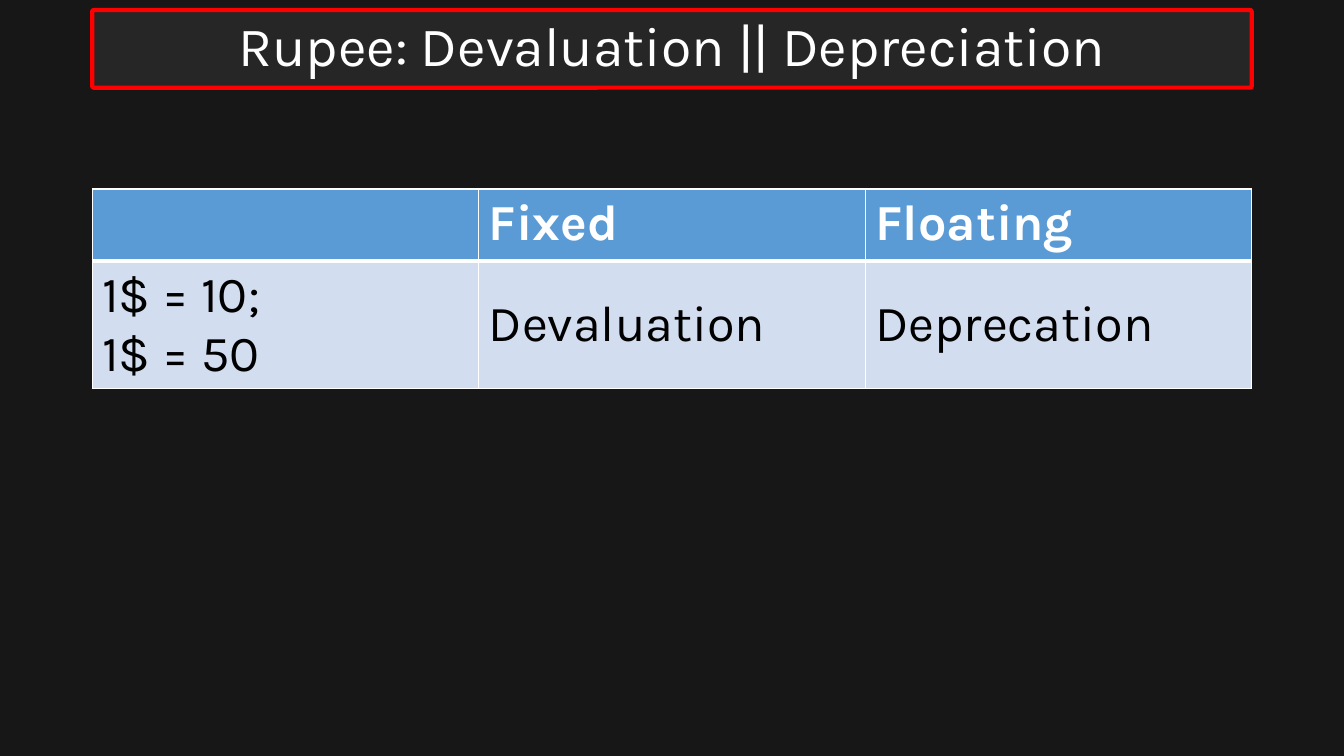
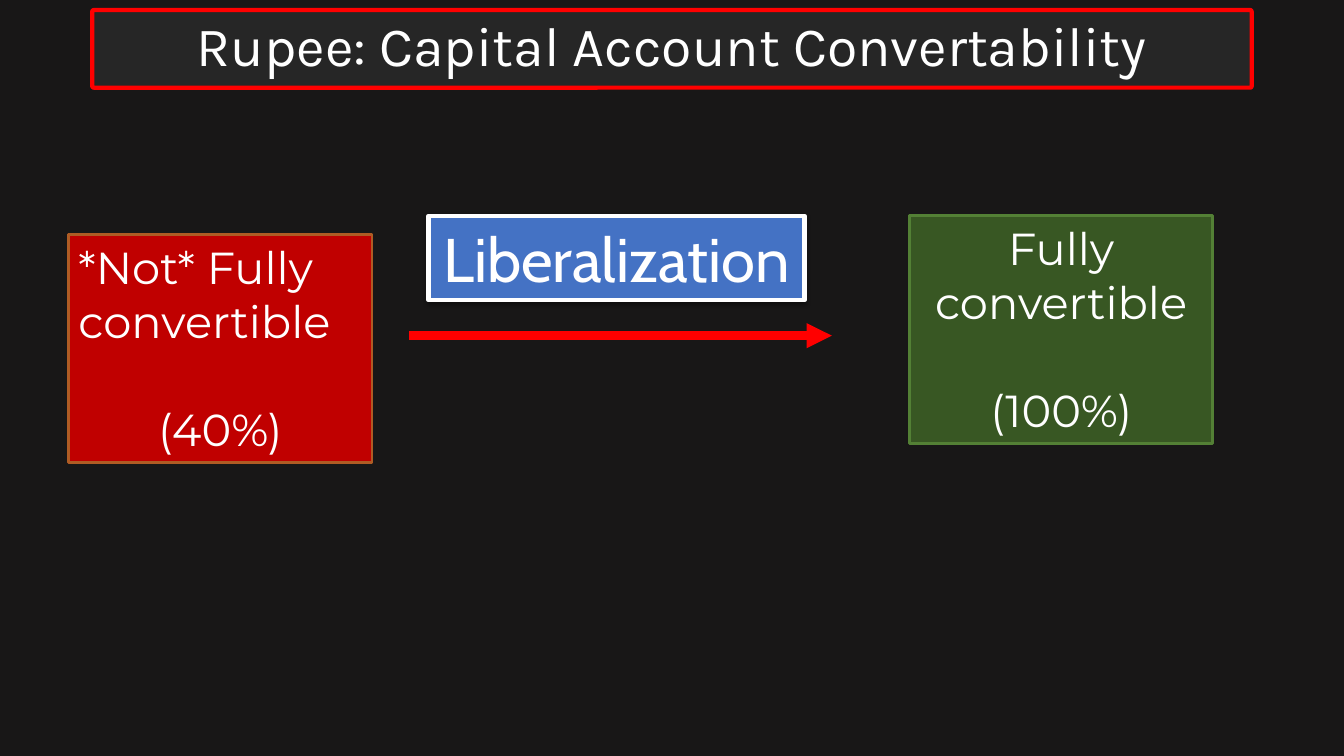
from lxml.etree import SubElement
from pptx import Presentation
from pptx.dml.color import RGBColor
from pptx.enum.shapes import MSO_CONNECTOR, MSO_SHAPE
from pptx.enum.text import MSO_ANCHOR, PP_ALIGN
from pptx.oxml.ns import qn
from pptx.util import Inches, Pt

BACKDROP = RGBColor(0x18, 0x17, 0x17)
BAND = RGBColor(0x26, 0x26, 0x26)
RED = RGBColor(0xFF, 0x00, 0x00)
WHITE = RGBColor(0xFF, 0xFF, 0xFF)
BLACK = RGBColor(0x00, 0x00, 0x00)
HEADER_BLUE = RGBColor(0x5B, 0x9B, 0xD5)
PALE_BLUE = RGBColor(0xD2, 0xDE, 0xEF)
LABEL_BLUE = RGBColor(0x44, 0x72, 0xC4)
DARK_RED = RGBColor(0xC0, 0x00, 0x00)
RUST = RGBColor(0xAF, 0x5C, 0x24)
DARK_GREEN = RGBColor(0x38, 0x57, 0x23)
GREEN = RGBColor(0x53, 0x80, 0x35)

WIDTH, HEIGHT = 13.33, 7.5
CONTENT_WIDTH = 11.5
MARGIN = (WIDTH - CONTENT_WIDTH) / 2
TITLE_FONT, STATE_FONT, LABEL_FONT = "Karla", "Montserrat", "Cabin"

RATE_TITLE = "Rupee: Devaluation || Depreciation"
RATE_ROWS = [
    ["", "Fixed", "Floating"],
    ["1$ = 10;\n1$ = 50", "Devaluation", "Deprecation"],
]
ROW_HEIGHTS = [0.68, 1.27]
TABLE_TOP = HEIGHT / 4

ACCOUNT_TITLE = "Rupee: Capital Account Convertability"
STATE_SIZE = (3.01, 2.26)
STATES = [
    ("*Not* Fully convertible", "(40%)", (0.68, 2.33), DARK_RED, RUST, PP_ALIGN.LEFT),
    ("Fully convertible", "(100%)", (9.02, 2.14), DARK_GREEN, GREEN, PP_ALIGN.CENTER),
]
STATE_GAP = 39
LABEL = "Liberalization"
LABEL_PLACE = (4.25, 2.14, 3.73, 0.84)
ARROW_LEFT, ARROW_RIGHT, ARROW_LEVEL = 4.06, 8.25, 3.33


def write(frame, text, size, font, color=WHITE, bold=False, align=PP_ALIGN.CENTER,
          anchor=MSO_ANCHOR.TOP, line_spacing=None):
    frame.word_wrap = True
    frame.vertical_anchor = anchor
    frame.text = text
    for para in frame.paragraphs:
        para.alignment = align
        para.line_spacing = line_spacing
        para.font.size = Pt(size)
        for span in para.runs:
            span.font.name = font
            span.font.size = Pt(size)
            span.font.bold = bold
            span.font.color.rgb = color


def add_box(page, place, fill, line, line_width, shape=MSO_SHAPE.RECTANGLE):
    box = page.shapes.add_shape(shape, *map(Inches, place))
    box.shadow.inherit = False
    box.fill.solid()
    box.fill.fore_color.rgb = fill
    box.line.color.rgb = line
    box.line.width = Pt(line_width)
    return box


def add_page(deck, title):
    page = deck.slides.add_slide(deck.slide_layouts[6])
    band = add_box(page, (MARGIN, 0.1, CONTENT_WIDTH, 0.77), BAND, RED, 3,
                   MSO_SHAPE.ROUNDED_RECTANGLE)
    band.adjustments[0] = 0.02
    write(band.text_frame, title, 39.6, TITLE_FONT, anchor=MSO_ANCHOR.MIDDLE,
          line_spacing=0.9)
    return page


def add_borders(cell, widths):
    properties = cell._tc.get_or_add_tcPr()
    for side, width in zip("LRTB", widths):
        border = SubElement(properties, qn(f"a:ln{side}"), w=str(Pt(width)))
        SubElement(SubElement(border, qn("a:solidFill")), qn("a:srgbClr"), val=str(WHITE))


def add_rate_table(page):
    columns = len(RATE_ROWS[0])
    place = (MARGIN, TABLE_TOP, CONTENT_WIDTH, sum(ROW_HEIGHTS))
    table = page.shapes.add_table(len(RATE_ROWS), columns, *map(Inches, place)).table
    for column in table.columns:
        column.width = Inches(CONTENT_WIDTH / columns)
    for row_index, (texts, height) in enumerate(zip(RATE_ROWS, ROW_HEIGHTS)):
        header = row_index == 0
        table.rows[row_index].height = Inches(height)
        for column_index, text in enumerate(texts):
            cell = table.cell(row_index, column_index)
            add_borders(cell, (1, 1, 1, 3) if header else (1, 1, 3, 1))
            cell.fill.solid()
            cell.fill.fore_color.rgb = HEADER_BLUE if header else PALE_BLUE
            write(cell.text_frame, text, 36, TITLE_FONT, WHITE if header else BLACK,
                  bold=header, align=PP_ALIGN.LEFT)
            cell.vertical_anchor = MSO_ANCHOR.TOP if header else MSO_ANCHOR.MIDDLE


def add_state(page, name, share, corner, fill, line, align):
    box = add_box(page, corner + STATE_SIZE, fill, line, 2)
    write(box.text_frame, f"{name}\n{share}", 32, STATE_FONT, align=align)
    share_para = box.text_frame.paragraphs[1]
    share_para.alignment = PP_ALIGN.CENTER
    share_para.space_before = Pt(STATE_GAP)


def add_arrow(page):
    ends = (ARROW_LEFT, ARROW_LEVEL, ARROW_RIGHT, ARROW_LEVEL)
    arrow = page.shapes.add_connector(MSO_CONNECTOR.STRAIGHT, *map(Inches, ends))
    arrow.line.color.rgb = RED
    arrow.line.width = Pt(6)
    SubElement(arrow.line._get_or_add_ln(), qn("a:tailEnd"), type="triangle")
    SubElement(arrow._element.spPr, qn("a:effectLst"))


def add_label(page):
    box = add_box(page, LABEL_PLACE, LABEL_BLUE, WHITE, 3)
    write(box.text_frame, LABEL, 44, LABEL_FONT)
    effects = box._element.spPr.find(qn("a:effectLst"))
    shadow = SubElement(effects, qn("a:outerShdw"), blurRad=str(Pt(3.1)),
                        dist=str(Pt(1.6)), dir="5400000", rotWithShape="0")
    color = SubElement(shadow, qn("a:srgbClr"), val=str(BLACK))
    SubElement(color, qn("a:alpha"), val="38000")


def main():
    deck = Presentation()
    deck.slide_width, deck.slide_height = Inches(WIDTH), Inches(HEIGHT)
    backdrop = deck.slide_master.background.fill
    backdrop.solid()
    backdrop.fore_color.rgb = BACKDROP

    add_rate_table(add_page(deck, RATE_TITLE))

    account_page = add_page(deck, ACCOUNT_TITLE)
    for state in STATES:
        add_state(account_page, *state)
    add_arrow(account_page)
    add_label(account_page)
    deck.save("out.pptx")


if __name__ == "__main__":
    main()
